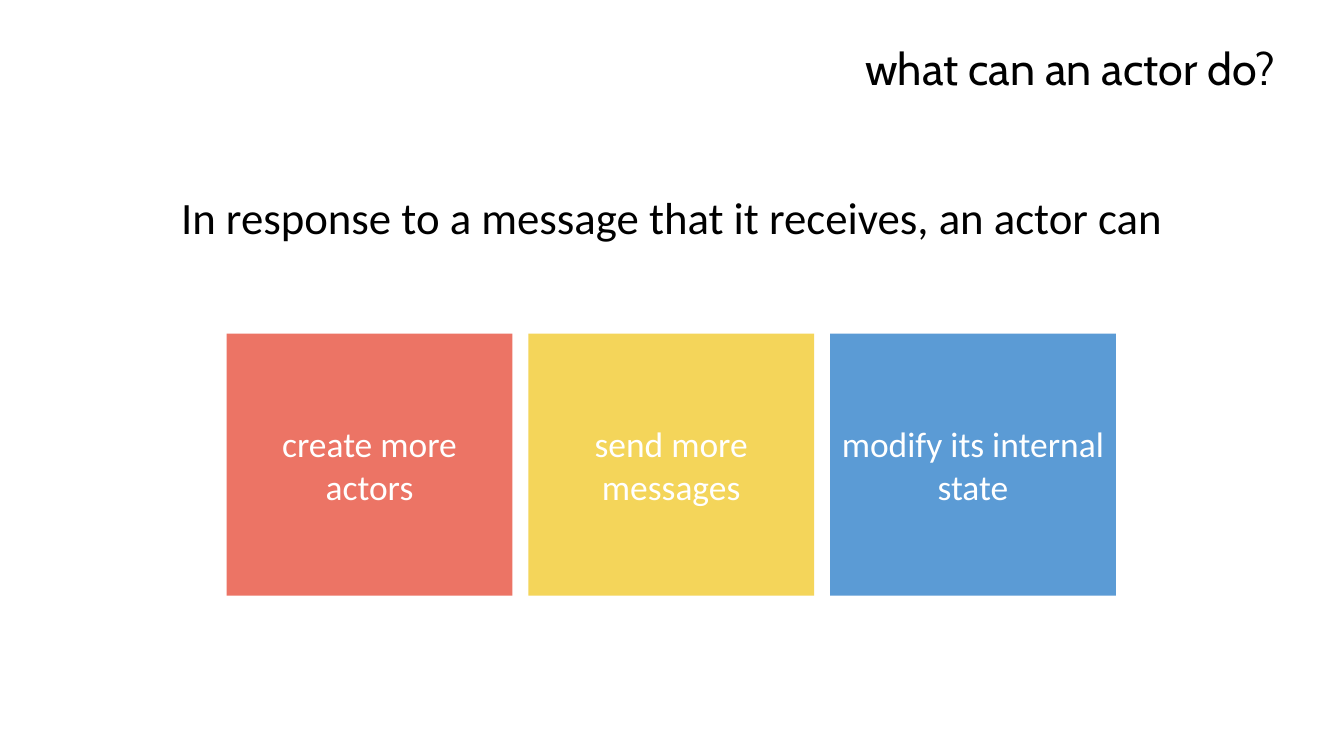
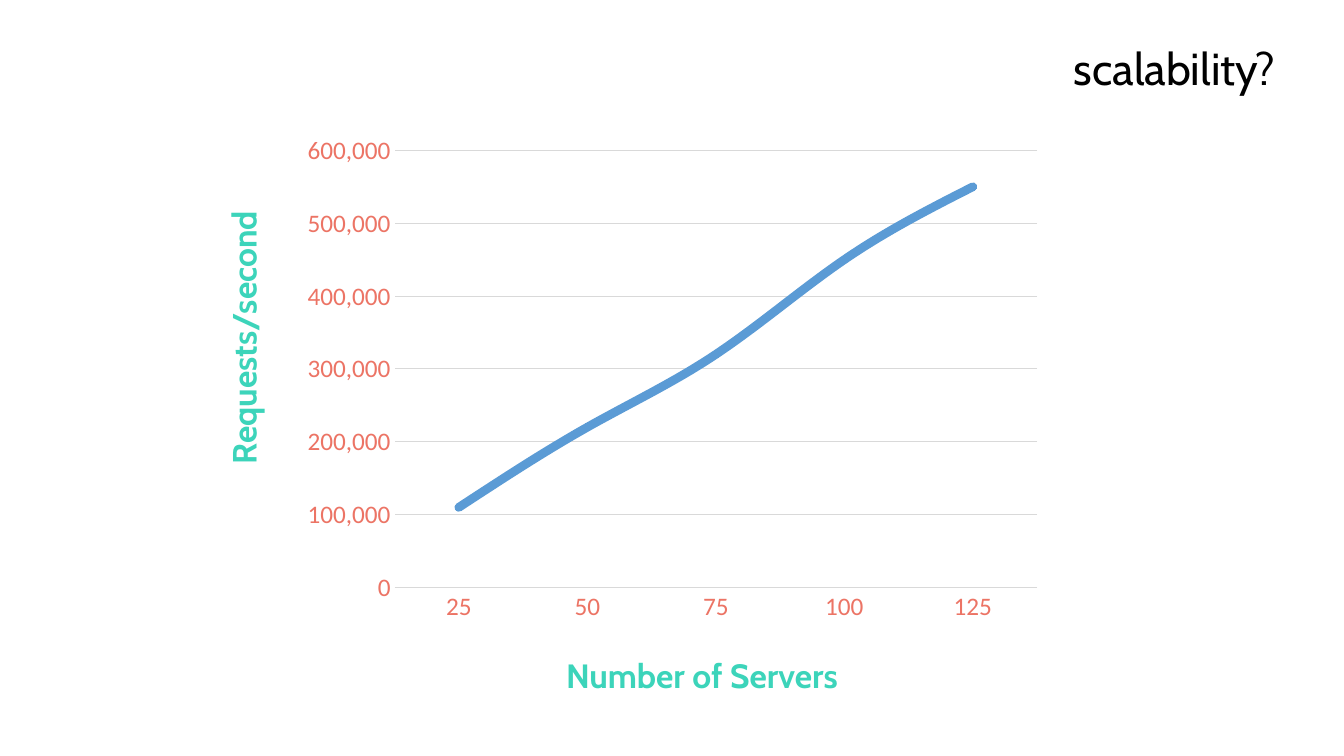
"""Two slides on actors: what they can do, and how they scale."""
from pptx import Presentation
from pptx import util as u
from pptx.chart import data
from pptx.dml.color import RGBColor
from pptx.enum import chart as charts, shapes, text
from pptx.oxml import ns

COLORS = {
    "black": "000000",
    "white": "FFFFFF",
    "coral": "EC7465",
    "yellow": "F4D55A",
    "blue": "5B9BD5",
    "teal": "3CD4BA",
    "grid": "D9D9D9",
}
HEADING_FONT, BODY_FONT = "Cabin", "Calibri"
TITLE_BOX = (9.47, 0.89, 22.94, 1.63)
TITLE_ONLY = 5


def color(name):
    """Return a palette colour."""
    return RGBColor.from_string(COLORS[name])


def place(shape, box):
    """Move a shape to a box of left, top, width and height in centimetres."""
    shape.left, shape.top, shape.width, shape.height = map(u.Cm, box)


def style_font(font, family, size, color_name, bold=False):
    """Set the family, size, colour and weight of a font."""
    font.name, font.size, font.bold = family, u.Pt(size), bold
    font.color.rgb = color(color_name)


def write(shape, words, align, anchor, *style):
    """Write one styled run into a shape."""
    frame = shape.text_frame
    frame.word_wrap = True
    frame.auto_size = text.MSO_AUTO_SIZE.NONE
    frame.vertical_anchor = anchor
    paragraph = frame.paragraphs[0]
    paragraph.alignment = align
    run = paragraph.add_run()
    run.text = words
    style_font(run.font, *style)


def add_titled_slide(presentation, title):
    """Add a slide with the shared right-aligned title."""
    slide = presentation.slides.add_slide(presentation.slide_layouts[TITLE_ONLY])
    place(slide.shapes.title, TITLE_BOX)
    write(slide.shapes.title, title, text.PP_ALIGN.RIGHT, text.MSO_ANCHOR.TOP,
          HEADING_FONT, 32, "black")
    return slide


def add_label(slide, box, words, *style, rotation=0):
    """Add a centred text box, turned if asked."""
    label = slide.shapes.add_textbox(*map(u.Cm, box))
    label.rotation = rotation
    write(label, words, text.PP_ALIGN.CENTER, text.MSO_ANCHOR.TOP, *style)


def add_tiles(slide, box, gap, tiles):
    """Fill a box with a row of equal coloured tiles."""
    left, top, width, height = box
    tile_width = (width - gap * (len(tiles) - 1)) / len(tiles)
    for index, (words, fill) in enumerate(tiles):
        tile = slide.shapes.add_shape(shapes.MSO_SHAPE.RECTANGLE, 0, 0, 0, 0)
        place(tile, (left + index * (tile_width + gap), top, tile_width, height))
        tile.shadow.inherit = False
        tile.fill.solid()
        tile.fill.fore_color.rgb = color(fill)
        tile.line.fill.background()
        write(tile, words, text.PP_ALIGN.CENTER, text.MSO_ANCHOR.MIDDLE,
              BODY_FONT, 25.3, "white")


def style_line(line, color_name, width):
    """Set the colour and width of a line."""
    line.color.rgb = color(color_name)
    line.width = u.Pt(width)


def add_throughput_chart(slide, box):
    """Add the smooth line chart of requests per second by servers."""
    chart_data = data.CategoryChartData(number_format="#,##0")
    chart_data.categories = ["25", "50", "75", "100", "125"]
    chart_data.add_series("Series 1", (110000, 220000, 320000, 450000, 550000))
    chart = slide.shapes.add_chart(
        charts.XL_CHART_TYPE.LINE_MARKERS, *map(u.Cm, box), chart_data).chart
    chart.has_legend = chart.has_title = False
    style_font(chart.font, BODY_FONT, 18, "coral")

    servers, requests = chart.category_axis, chart.value_axis
    for axis in (servers, requests):
        axis.major_tick_mark = axis.minor_tick_mark = charts.XL_TICK_MARK.NONE
        style_font(axis.tick_labels.font, BODY_FONT, 18, "coral")
    style_line(servers.format.line, "grid", 0.75)
    requests.format.line.fill.background()
    style_line(requests.major_gridlines.format.line, "grid", 0.75)
    requests.minimum_scale, requests.maximum_scale = 0, 600000
    requests.major_unit = 100000
    requests.tick_labels.number_format = "#,##0"
    requests.tick_labels.number_format_is_linked = False

    plot = chart.plots[0]
    plot.vary_by_categories = False
    series = plot.series[0]
    series.smooth = True
    style_line(series.format.line, "blue", 6.25)
    series._element.find(".//" + ns.qn("a:ln")).set("cap", "rnd")
    marker = series.marker
    marker.style, marker.size = charts.XL_MARKER_STYLE.CIRCLE, 5
    marker.format.fill.solid()
    marker.format.fill.fore_color.rgb = color("blue")
    marker.format.line.color.rgb = color("blue")


def build_actor_slide(presentation):
    """Build the slide on what an actor can do."""
    slide = add_titled_slide(presentation, "what can an actor do?")
    add_label(slide, (3.73, 4.65, 26.42, 1.63),
              "In response to a message that it receives, an actor can",
              BODY_FONT, 32, "black")
    add_tiles(slide, (5.71, 8.41, 22.41, 6.6), 0.4, [
        ("create more actors", "coral"),
        ("send more messages", "yellow"),
        ("modify its internal state", "blue"),
    ])


def build_scalability_slide(presentation):
    """Build the slide with the throughput chart and its axis names."""
    slide = add_titled_slide(presentation, "scalability?")
    add_throughput_chart(slide, (7.37, 3.15, 19.15, 12.78))
    axis_style = (HEADING_FONT, 24, "teal", True)
    add_label(slide, (10.87, 16.38, 13.64, 1.27), "Number of Servers", *axis_style)
    add_label(slide, (-0.69, 7.87, 13.64, 1.27), "Requests/second", *axis_style,
              rotation=270)


def main():
    """Build and save the presentation."""
    presentation = Presentation()
    presentation.slide_width, presentation.slide_height = u.Cm(33.87), u.Cm(19.05)
    build_actor_slide(presentation)
    build_scalability_slide(presentation)
    presentation.save("out.pptx")


main()
